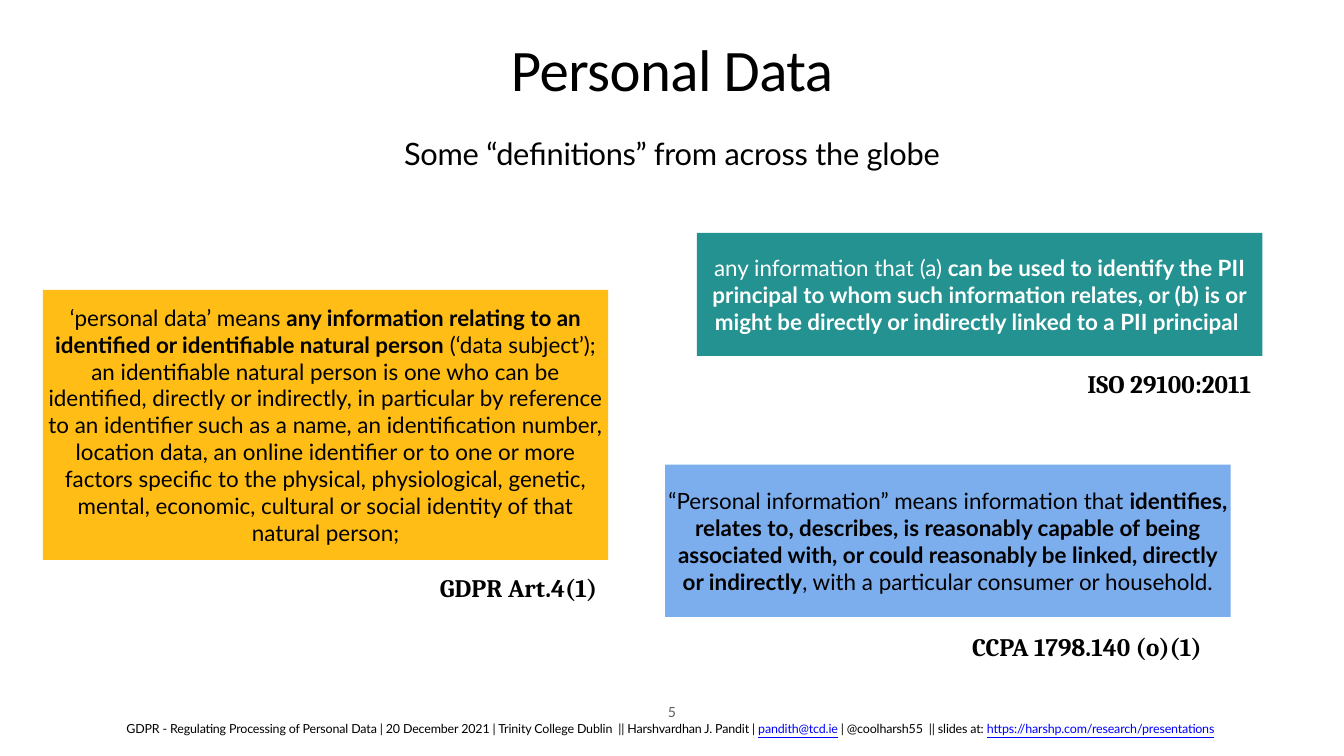
from pptx import Presentation
from pptx.dml.color import RGBColor
from pptx.enum.shapes import MSO_SHAPE as Shape
from pptx.enum.text import MSO_ANCHOR as Anchor, MSO_AUTO_SIZE as AutoSize, PP_ALIGN as Align
from pptx.util import Inches, Pt

WIDTH, HEIGHT = 26.67, 15
MARGIN = 1.33
CARD_WIDTH = 11.22
COLORS = {
    "black": "000000",
    "white": "FFFFFF",
    "gray": "5E5E5E",
    "link": "0000FF",
    "gdpr": "FFBD16",
    "iso": "239290",
    "ccpa": "7CADED",
}


def color(name):
    return RGBColor.from_string(COLORS[name])


def write(shape, runs, size, font="Lato", ink="black", bold=False, align=Align.CENTER,
          anchor=Anchor.TOP, wrap=True, spacing=0, line_spacing=None):
    """Fill a shape with one paragraph; each run is (text, style), style "", "bold" or "link"."""
    frame = shape.text_frame
    frame.auto_size = AutoSize.NONE
    frame.word_wrap = wrap
    frame.vertical_anchor = anchor
    frame.margin_left = frame.margin_right = Inches(0.06)
    frame.margin_top = frame.margin_bottom = Inches(0.06)
    paragraph = frame.paragraphs[0]
    paragraph.alignment = align
    if line_spacing:
        paragraph.line_spacing = line_spacing
    for text, style in runs:
        run = paragraph.add_run()
        run.text = text
        run.font.name = font
        run.font.size = Pt(size)
        run.font.bold = bold or style == "bold"
        run.font.underline = style == "link"
        run.font.color.rgb = color("link" if style == "link" else ink)
        if spacing:
            run.font._element.set("spc", str(round(spacing * 100)))


def add_label(slide, box, runs, size, **text_format):
    shape = slide.shapes.add_textbox(*map(Inches, box))
    if isinstance(runs, str):
        runs = [(runs, "")]
    write(shape, runs, size, **text_format)


def add_definition(slide, left, top, height, fill, runs, ink="black"):
    box = map(Inches, (left, top, CARD_WIDTH, height))
    card = slide.shapes.add_shape(Shape.RECTANGLE, *box)
    card.shadow.inherit = False
    card.fill.solid()
    card.fill.fore_color.rgb = color(fill)
    card.line.fill.background()
    write(card, runs, 32, ink=ink, anchor=Anchor.MIDDLE)


def add_source(slide, left, top, width, text):
    add_label(slide, (left, top, width, 0.71), text, 36, font="Cambria", bold=True,
              align=Align.LEFT, anchor=Anchor.MIDDLE, wrap=False)


def main():
    presentation = Presentation()
    presentation.slide_width = Inches(WIDTH)
    presentation.slide_height = Inches(HEIGHT)
    slide = presentation.slides.add_slide(presentation.slide_layouts[6])
    full_width = WIDTH - 2 * MARGIN

    # Footer and page number
    add_label(slide, (MARGIN, 0.95 * HEIGHT, full_width, 0.53), [
        ("GDPR - Regulating Processing of Personal Data | 20 December 2021 | "
         "Trinity College Dublin  || Harshvardhan J. Pandit | ", ""),
        ("pandith@tcd.ie", "link"),
        (" | @coolharsh55  || slides at: ", ""),
        ("https://harshp.com/research/presentations", "link"),
        (" ", ""),
    ], 17.8, spacing=-0.2)
    add_label(slide, (WIDTH / 2 - 0.15, 13.89, 0.3, 0.47), "5", 20, ink="gray",
              anchor=Anchor.BOTTOM, wrap=False)

    # Title and subtitle
    add_label(slide, (MARGIN, 0.85, full_width, 1.89), "Personal Data", 84,
              font="Calibri", spacing=-0.8, line_spacing=0.8)
    add_label(slide, (MARGIN, 2.61, full_width, 0.91),
              "Some “definitions” from across the globe", 44, spacing=-0.4)

    # European definition
    add_definition(slide, 0.85, 5.75, 5.36, "gdpr", [
        ("‘personal data’ means ", ""),
        ("any information relating to an identified or identifiable natural person", "bold"),
        (" (‘data subject’); an identifiable natural person is one who can be identified, "
         "directly or indirectly, in particular by reference to an identifier such as a name, "
         "an identification number, location data, an online identifier or to one or more "
         "factors specific to the physical, physiological, genetic, mental, economic, cultural "
         "or social identity of that natural person;", ""),
    ])
    add_source(slide, 8.67, 11.31, 3.35, "GDPR Art.4(1)")

    # International standard definition
    add_definition(slide, 13.83, 4.62, 2.44, "iso", [
        ("any information that (a) ", ""),
        ("can be used to identify the PII principal to whom such information relates, or (b) "
         "is or might be directly or indirectly linked to a PII principal ", "bold"),
    ], ink="white")
    add_source(slide, 21.52, 7.25, 3.5, "ISO 29100:2011")

    # Californian definition
    add_definition(slide, 13.2, 9.22, 3.02, "ccpa", [
        ("“Personal information” means information that ", ""),
        ("identifies, relates to, describes, is reasonably capable of being associated with, "
         "or could reasonably be linked, directly or indirectly", "bold"),
        (", with a particular consumer or household.", ""),
    ])
    add_source(slide, 19.23, 12.48, 4.74, "CCPA 1798.140 (o)(1)")

    presentation.save("out.pptx")


if __name__ == "__main__":
    main()
